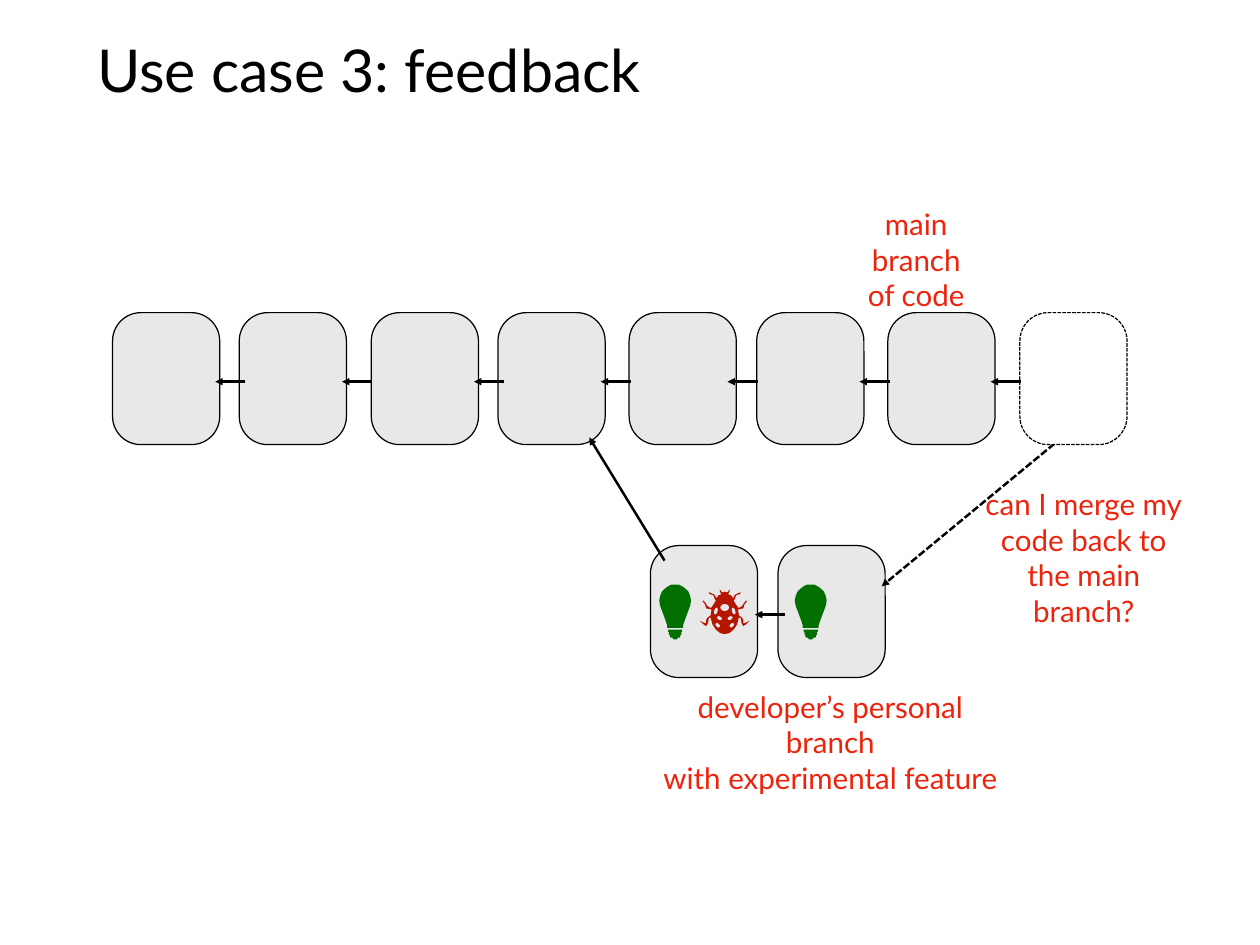
import dataclasses
import math

import lxml.etree
import pptx
import pptx.dml.color
import pptx.enum.dml
import pptx.enum.shapes
import pptx.enum.text
import pptx.oxml.ns
import pptx.util
from pptx.util import Inches


@dataclasses.dataclass(frozen=True)
class Theme:
    font: str = "Lato"
    title_size: int = 48
    label_size: int = 24
    ink: str = "000000"
    label: str = "EE230C"
    commit: str = "E8E8E8"
    paper: str = "FFFFFF"
    feature: str = "027001"
    bug: str = "B51600"
    box_line: float = 1
    arrow_line: float = 2


COMMIT_WIDTH, COMMIT_HEIGHT = 1.21, 1.49
MAIN_TOP, BRANCH_TOP = 3.53, 6.16
MAIN_LEFTS = [1.27, 2.7, 4.19, 5.62, 7.1, 8.54, 10.02]
MERGE_LEFT = 11.51
BRANCH_LEFTS = [7.34, 8.78]
MAIN_LINK_STARTS = [2.77, 4.2, 5.69, 7.12, 8.55, 10.04, 11.52]
MAIN_LINK_Y, BRANCH_LINK_Y = 4.31, 6.94
LINK_LENGTH = 0.34

# Right halves, measured in inches from the top of the symmetry axis.
BULB_GLASS = [(0, 0), (0.04, 0), (0.08, 0.02), (0.12, 0.05), (0.15, 0.08),
              (0.17, 0.13), (0.18, 0.18), (0.17, 0.24), (0.14, 0.32),
              (0.11, 0.4), (0.09, 0.46), (0.09, 0.49), (0, 0.49)]
BULB_SOCKET = [(0, 0.51), (0.08, 0.51), (0.08, 0.53), (0.07, 0.54),
               (0.07, 0.57), (0.06, 0.57), (0.06, 0.59), (0.05, 0.6),
               (0.03, 0.6), (0.02, 0.62), (0, 0.62)]
BUG_BODY = [(0, 0.02), (0.02, 0.03), (0.04, 0.02), (0.05, 0), (0.06, 0),
            (0.05, 0.03), (0.04, 0.04), (0.05, 0.06), (0.07, 0.06),
            (0.09, 0.09), (0.1, 0.09), (0.11, 0.06), (0.13, 0.05),
            (0.17, 0.03), (0.18, 0.03), (0.17, 0.05), (0.13, 0.06),
            (0.11, 0.11), (0.1, 0.12), (0.11, 0.14), (0.13, 0.17),
            (0.15, 0.2), (0.17, 0.2), (0.2, 0.18), (0.21, 0.16),
            (0.24, 0.12), (0.25, 0.13), (0.22, 0.17), (0.21, 0.21),
            (0.16, 0.22), (0.15, 0.23), (0.16, 0.29), (0.19, 0.31),
            (0.21, 0.34), (0.21, 0.38), (0.24, 0.37), (0.28, 0.35),
            (0.27, 0.36), (0.24, 0.39), (0.21, 0.41), (0.19, 0.38),
            (0.18, 0.32), (0.16, 0.31), (0.14, 0.39), (0.1, 0.45),
            (0.05, 0.49), (0, 0.5)]
# Spots: centre x, centre y, radius x, radius y, tilt in degrees.
BUG_SPOTS = [(0, 0.2, 0.05, 0.04, 0), (0.1, 0.24, 0.02, 0.04, -15),
             (-0.1, 0.24, 0.02, 0.04, 15), (0.06, 0.32, 0.03, 0.02, -25),
             (-0.06, 0.32, 0.03, 0.02, 25), (0.08, 0.4, 0.03, 0.02, -45),
             (-0.08, 0.4, 0.03, 0.02, 45)]


def mirrored(half):
    """Close a right half outline with its reflection across the axis."""
    return half + [(-x, y) for x, y in reversed(half)]


def ellipse(center_x, center_y, radius_x, radius_y, tilt, steps=24):
    turn = math.radians(tilt)
    outline = []
    for step in range(steps):
        angle = math.tau * step / steps
        x, y = radius_x * math.cos(angle), radius_y * math.sin(angle)
        outline.append((center_x + x * math.cos(turn) - y * math.sin(turn),
                        center_y + x * math.sin(turn) + y * math.cos(turn)))
    return outline


def rgb(value):
    return pptx.dml.color.RGBColor.from_string(value)


class BranchSlide:
    def __init__(self, slide, theme):
        self.shapes = slide.shapes
        self.theme = theme

    def text(self, lines, left, top, width, height, size, color, align):
        box = self.shapes.add_textbox(
            Inches(left), Inches(top), Inches(width), Inches(height))
        frame = box.text_frame
        frame.word_wrap = True
        frame.vertical_anchor = pptx.enum.text.MSO_ANCHOR.MIDDLE
        frame.margin_left = frame.margin_right = Inches(0.06)
        frame.margin_top = frame.margin_bottom = Inches(0.06)
        frame.text = "\n".join(lines)
        for paragraph in frame.paragraphs:
            paragraph.alignment = align
            for run in paragraph.runs:
                run.font.name = self.theme.font
                run.font.size = pptx.util.Pt(size)
                run.font.color.rgb = rgb(color)

    def title(self, words):
        self.text([words], 1.04, 0.28, 12.14, 0.99, self.theme.title_size,
                  self.theme.ink, pptx.enum.text.PP_ALIGN.LEFT)

    def label(self, lines, left, top, width, height):
        self.text(lines, left, top, width, height, self.theme.label_size,
                  self.theme.label, pptx.enum.text.PP_ALIGN.CENTER)

    def stroke(self, line, width, dashed):
        line.color.rgb = rgb(self.theme.ink)
        line.width = pptx.util.Pt(width)
        if dashed:
            line.dash_style = pptx.enum.dml.MSO_LINE.SQUARE_DOT

    def commit(self, left, top, proposed=False):
        box = self.shapes.add_shape(
            pptx.enum.shapes.MSO_SHAPE.ROUNDED_RECTANGLE, Inches(left),
            Inches(top), Inches(COMMIT_WIDTH), Inches(COMMIT_HEIGHT))
        box.adjustments[0] = 0.264
        box.shadow.inherit = False
        box.fill.solid()
        box.fill.fore_color.rgb = rgb(
            self.theme.paper if proposed else self.theme.commit)
        self.stroke(box.line, self.theme.box_line, proposed)

    def arrow(self, start, end, dashed=False):
        link = self.shapes.add_connector(
            pptx.enum.shapes.MSO_CONNECTOR.STRAIGHT,
            *(Inches(length) for length in (*start, *end)))
        self.stroke(link.line, self.theme.arrow_line, dashed)
        tip = lxml.etree.SubElement(
            link.line._get_or_add_ln(), pptx.oxml.ns.qn("a:tailEnd"))
        tip.set("type", "triangle")
        lxml.etree.SubElement(
            link._element.spPr, pptx.oxml.ns.qn("a:effectLst"))

    def parent_link(self, x, y):
        self.arrow((x, y), (x - LINK_LENGTH, y))

    def icon(self, outlines, axis, top, color):
        """Draw closed outlines as one shape; inner outlines become holes."""
        placed = [[((axis + x) * 1000, (top + y) * 1000) for x, y in outline]
                  for outline in outlines]
        builder = self.shapes.build_freeform(
            *placed[0][0], scale=Inches(1) / 1000)
        builder.add_line_segments(placed[0][1:])
        for outline in placed[1:]:
            builder.move_to(*outline[0])
            builder.add_line_segments(outline[1:])
        drawing = builder.convert_to_shape()
        drawing.shadow.inherit = False
        drawing.fill.solid()
        drawing.fill.fore_color.rgb = rgb(color)
        drawing.line.fill.background()


def main():
    deck = pptx.Presentation()
    deck.slide_width, deck.slide_height = Inches(14.22), Inches(10.67)
    theme = Theme()
    page = BranchSlide(deck.slides.add_slide(deck.slide_layouts[6]), theme)

    page.title("Use case 3: feedback")
    for left in MAIN_LEFTS:
        page.commit(left, MAIN_TOP)
    for left in BRANCH_LEFTS:
        page.commit(left, BRANCH_TOP)
    page.arrow((11.9, 5.01), (9.95, 6.62), dashed=True)
    page.commit(MERGE_LEFT, MAIN_TOP, proposed=True)
    for x in MAIN_LINK_STARTS:
        page.parent_link(x, MAIN_LINK_Y)
    page.arrow((7.5, 6.33), (6.65, 4.94))
    page.parent_link(8.86, BRANCH_LINK_Y)

    page.label(["main branch", "of code"], 9.69, 2.33, 1.3, 1.2)
    page.label(["developer’s personal branch", "with experimental feature"],
               7.42, 7.78, 3.9, 1.2)
    page.label(["can I merge my", "code back to", "the main branch?"],
               11.02, 5.49, 2.42, 1.6)

    bulb = [mirrored(BULB_GLASS), mirrored(BULB_SOCKET)]
    bug = [mirrored(BUG_BODY)] + [ellipse(*spot) for spot in BUG_SPOTS]
    page.icon(bulb, 7.62, 6.6, theme.feature)
    page.icon(bug, 8.18, 6.66, theme.bug)
    page.icon(bulb, 9.15, 6.6, theme.feature)
    deck.save("out.pptx")


if __name__ == "__main__":
    main()
